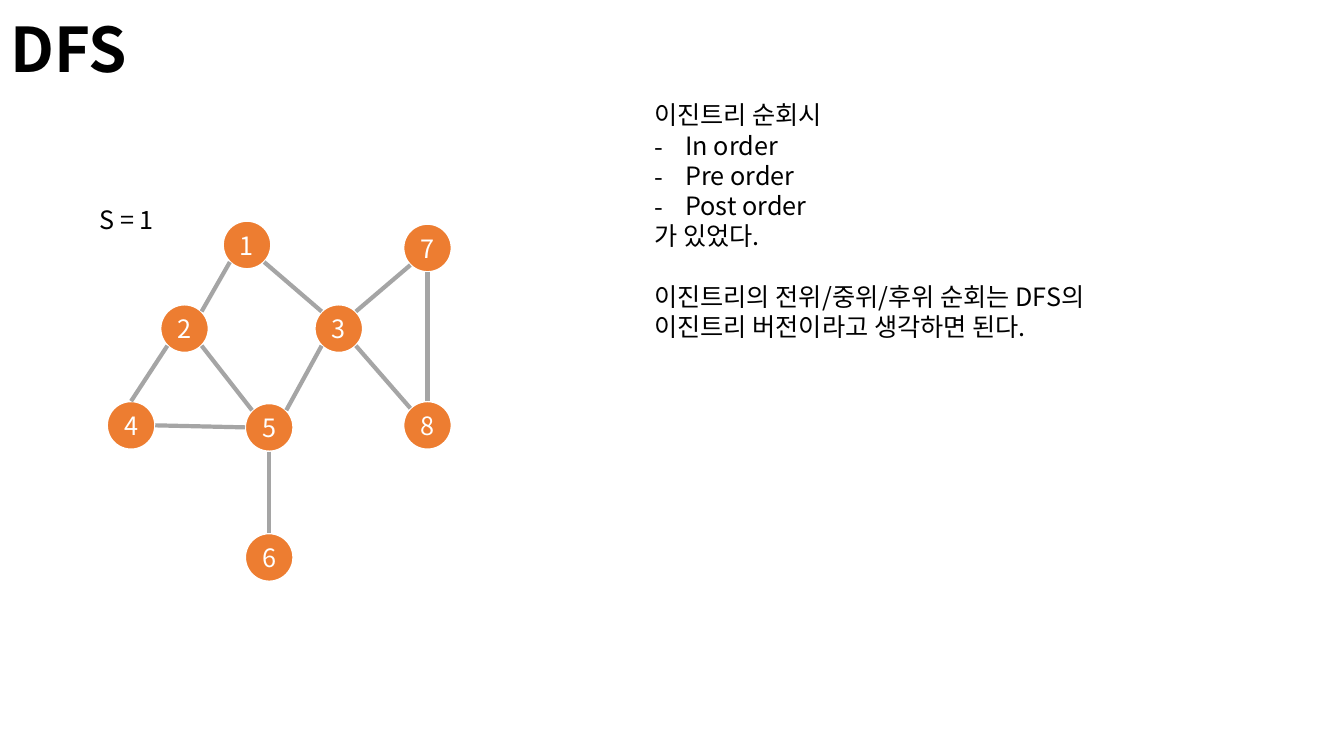
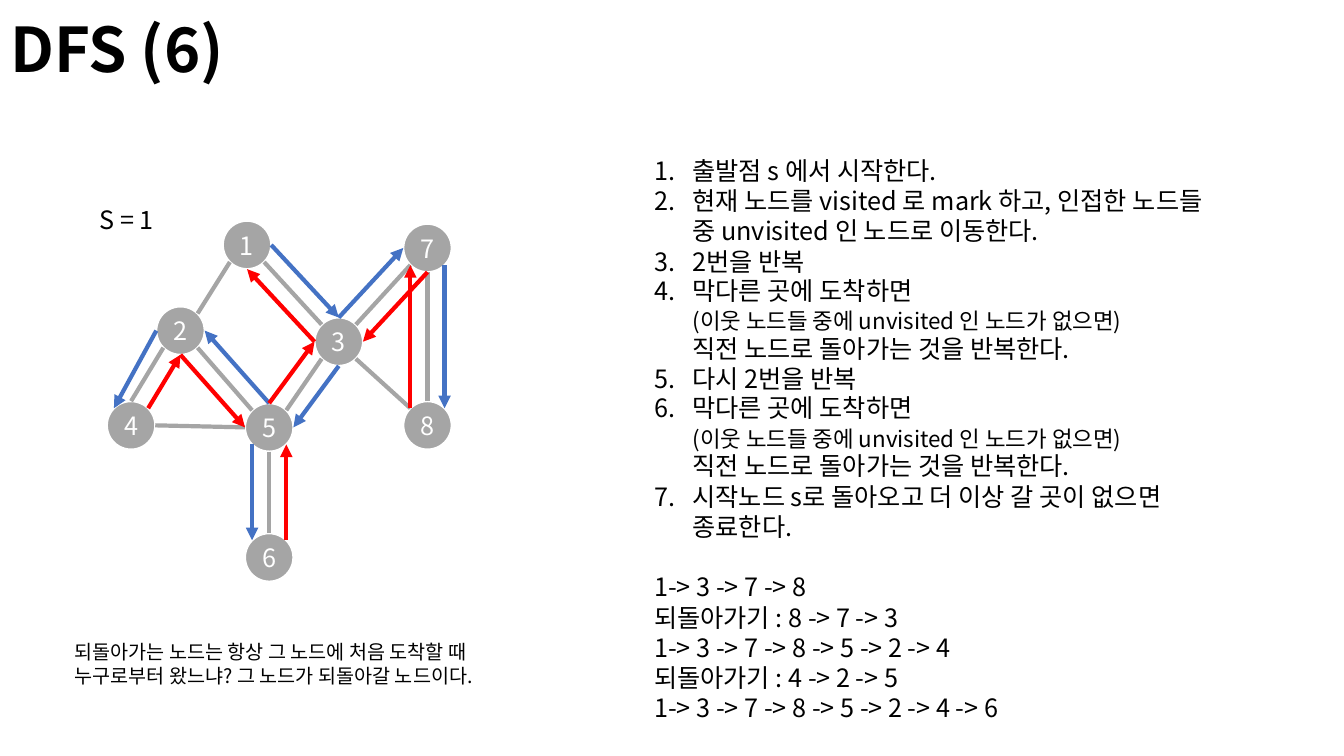
from math import hypot
from lxml.etree import SubElement
from pptx import Presentation
from pptx.dml.color import RGBColor
from pptx.enum.shapes import MSO_CONNECTOR, MSO_SHAPE
from pptx.enum.text import MSO_ANCHOR, MSO_AUTO_SIZE, PP_ALIGN
from pptx.oxml.ns import qn
from pptx.util import Inches, Pt

FONT = "Noto Sans CJK KR"
COLORS = {"text": "000000", "white": "FFFFFF", "fresh": "ED7D31", "visited": "A5A5A5",
          "edge": "A5A5A5", "forward": "4472C4", "back": "FF0000"}
WIDTH, HEIGHT = 13.33, 7.5
TITLE_SIZE, BODY_SIZE, NOTE_SIZE, CAPTION_SIZE = 44, 18, 16, 14
LINE_PITCH = 1.2
TITLE_PITCH = 1.3
DIAMETER = 0.48
COMPASS = {"N": (0, -1), "NE": (1, -1), "E": (1, 0), "SE": (1, 1),
           "S": (0, 1), "SW": (-1, 1), "W": (-1, 0), "NW": (-1, -1)}
LISTS = {"dash": (0.31, "buChar", {"char": "-"}),
         "number": (0.38, "buAutoNum", {"type": "arabicPeriod"})}

NODES = {1: (2.45, 2.43), 3: (3.36, 3.26), 2: (1.83, 3.26), 5: (2.67, 4.24),
         4: (1.3, 4.22), 6: (2.67, 5.53), 7: (4.24, 2.46), 8: (4.24, 4.22)}
EDGES = [(1, "SE", 3, "NW"), (1, "SW", 2, "NE"), (2, "SE", 5, "NW"), (3, "SW", 5, "NE"),
         (7, "SW", 3, "NE"), (3, "SE", 8, "NW"), (7, "S", 8, "N"), (2, "SW", 4, "N"),
         (4, "E", 5, "W"), (5, "S", 6, "N")]
STEPS = [("forward", 1, "E", 3, "N"), ("forward", 3, "N", 7, "W"),
         ("forward", 7, "SE", 8, "NE"), ("back", 8, "NW", 7, "SW"),
         ("back", 7, "S", 3, "E"), ("forward", 3, "S", 5, "E"),
         ("forward", 5, "N", 2, "E"), ("forward", 2, "W", 4, "NW"),
         ("back", 4, "NE", 2, "S"), ("back", 2, "S", 5, "W"),
         ("forward", 5, "SW", 6, "NW"), ("back", 6, "NE", 5, "SE"),
         ("back", 5, "N", 3, "W"), ("back", 3, "W", 1, "S")]

DEAD_END = [("막다른 곳에 도착하면\n", BODY_SIZE),
            ("(이웃 노드들 중에 unvisited 인 노드가 없으면)\n", NOTE_SIZE),
            ("직전 노드로 돌아가는 것을 반복한다.", BODY_SIZE)]
START = [("plain", "S = 1")]
TRAVERSALS = [
    ("plain", "이진트리 순회시"),
    ("dash", "In order"),
    ("dash", "Pre order"),
    ("dash", "Post order"),
    ("plain", "가 있었다."),
    ("gap", "이진트리의 전위/중위/후위 순회는 DFS의 이진트리 버전이라고 생각하면 된다."),
]
ALGORITHM = [
    ("number", "출발점 s 에서 시작한다."),
    ("number", "현재 노드를 visited 로 mark 하고, 인접한 노드들 중 unvisited 인 노드로 이동한다."),
    ("number", "2번을 반복"),
    ("number", DEAD_END),
    ("number", "다시 2번을 반복"),
    ("number", DEAD_END),
    ("number", "시작노드 s로 돌아오고 더 이상 갈 곳이 없으면 종료한다."),
    ("gap", "1-> 3 -> 7 -> 8"),
    ("plain", "되돌아가기 : 8 -> 7 -> 3"),
    ("plain", "1-> 3 -> 7 -> 8 -> 5 -> 2 -> 4"),
    ("plain", "되돌아가기 : 4 -> 2 -> 5"),
    ("plain", "1-> 3 -> 7 -> 8 -> 5 -> 2 -> 4 -> 6"),
]
CAPTION = [("plain", "되돌아가는 노드는 항상 그 노드에 처음 도착할 때"),
           ("plain", "누구로부터 왔느냐? 그 노드가 되돌아갈 노드이다.")]

SLIDES = [
    {"title": "DFS", "node": "fresh", "moved": {}, "steps": [],
     "texts": [(START, (0.89, 1.98, 0.83, 0.4), BODY_SIZE, False),
               (TRAVERSALS, (6.39, 0.94, 5.23, 3.13), BODY_SIZE, True)]},
    {"title": "DFS (6)", "node": "visited", "moved": {2: (1.79, 3.28), 3: (3.36, 3.39)},
     "steps": STEPS,
     "texts": [(START, (0.89, 1.98, 0.83, 0.4), BODY_SIZE, False),
               (ALGORITHM, (6.39, 1.49, 5.9, 5.79), BODY_SIZE, True),
               (CAPTION, (0.64, 6.3, 4.95, 0.57), CAPTION_SIZE, True)]},
]


def color(name):
    return RGBColor.from_string(COLORS[name])


def add_span(para, text, size, tint="text", bold=False):
    pieces = text.split("\n")
    for number, piece in enumerate(pieces):
        if number:
            para.add_line_break()
        if piece:
            span = para.add_run()
            span.text = piece
            span.font.size = Pt(size)
            span.font.bold = bold
            span.font.color.rgb = color(tint)
            span.font.name = FONT
            SubElement(span.font._element, qn("a:ea"), typeface=FONT)


def set_list(para, kind):
    indent, tag, attributes = LISTS[kind]
    properties = para._p.get_or_add_pPr()
    properties.set("marL", str(Inches(indent)))
    properties.set("indent", str(-Inches(indent)))
    SubElement(properties, qn("a:buFont"), typeface=FONT)
    SubElement(properties, qn(f"a:{tag}"), attributes)


def add_text(slide, content, place, size, wrap):
    box = slide.shapes.add_textbox(*map(Inches, place))
    frame = box.text_frame
    frame.word_wrap = wrap
    for number, (kind, text) in enumerate(content):
        para = frame.add_paragraph() if number else frame.paragraphs[0]
        spans = [(text, size)] if isinstance(text, str) else text
        mean_size = sum(span_size for _, span_size in spans) / len(spans)
        para.line_spacing = Pt(mean_size * LINE_PITCH)
        if kind == "gap":
            para.space_before = Pt(size * LINE_PITCH)
        if kind in LISTS:
            set_list(para, kind)
        for span_text, span_size in spans:
            add_span(para, span_text, span_size)


def set_title(slide, text):
    title = slide.shapes.title
    title.left, title.top = 0, 0
    title.width, title.height = Inches(WIDTH), Inches(0.84)
    frame = title.text_frame
    frame.auto_size = MSO_AUTO_SIZE.NONE
    frame.vertical_anchor = MSO_ANCHOR.TOP
    para = frame.paragraphs[0]
    para.alignment = PP_ALIGN.LEFT
    para.space_before = Pt(0)
    para.line_spacing = Pt(TITLE_SIZE * TITLE_PITCH)
    add_span(para, text, TITLE_SIZE, bold=True)


def add_node(slide, number, center, fill):
    corner = [Inches(value - DIAMETER / 2) for value in center]
    node = slide.shapes.add_shape(MSO_SHAPE.OVAL, *corner, Inches(DIAMETER), Inches(DIAMETER))
    node.shadow.inherit = False
    node.fill.solid()
    node.fill.fore_color.rgb = color(fill)
    node.line.color.rgb = color("white")
    node.line.width = Pt(1.5)
    frame = node.text_frame
    frame.word_wrap = False
    frame.margin_left = frame.margin_right = frame.margin_top = frame.margin_bottom = 0
    frame.vertical_anchor = MSO_ANCHOR.MIDDLE
    para = frame.paragraphs[0]
    para.alignment = PP_ALIGN.CENTER
    para.line_spacing = Pt(BODY_SIZE * LINE_PITCH)
    add_span(para, str(number), BODY_SIZE, "white")


def rim_point(center, direction):
    across, down = COMPASS[direction]
    reach = DIAMETER / 2 / hypot(across, down)
    return Inches(center[0] + across * reach), Inches(center[1] + down * reach)


def add_link(slide, centers, link, tint, arrow=False):
    source, leaving, target, arriving = link
    line = slide.shapes.add_connector(MSO_CONNECTOR.STRAIGHT,
                                      *rim_point(centers[source], leaving),
                                      *rim_point(centers[target], arriving))
    line.line.color.rgb = color(tint)
    line.line.width = Pt(3)
    if arrow:
        SubElement(line.line._get_or_add_ln(), qn("a:tailEnd"), type="triangle")
    SubElement(line._element.spPr, qn("a:effectLst"))


def build_slide(deck, content):
    slide = deck.slides.add_slide(deck.slide_layouts[5])
    set_title(slide, content["title"])
    centers = {**NODES, **content["moved"]}
    for number, center in centers.items():
        add_node(slide, number, center, content["node"])
    for edge in EDGES:
        add_link(slide, centers, edge, "edge")
    for tint, *step in content["steps"]:
        add_link(slide, centers, step, tint, arrow=True)
    for text in content["texts"]:
        add_text(slide, *text)


def main():
    deck = Presentation()
    deck.slide_width, deck.slide_height = Inches(WIDTH), Inches(HEIGHT)
    for content in SLIDES:
        build_slide(deck, content)
    deck.save("out.pptx")


if __name__ == "__main__":
    main()
